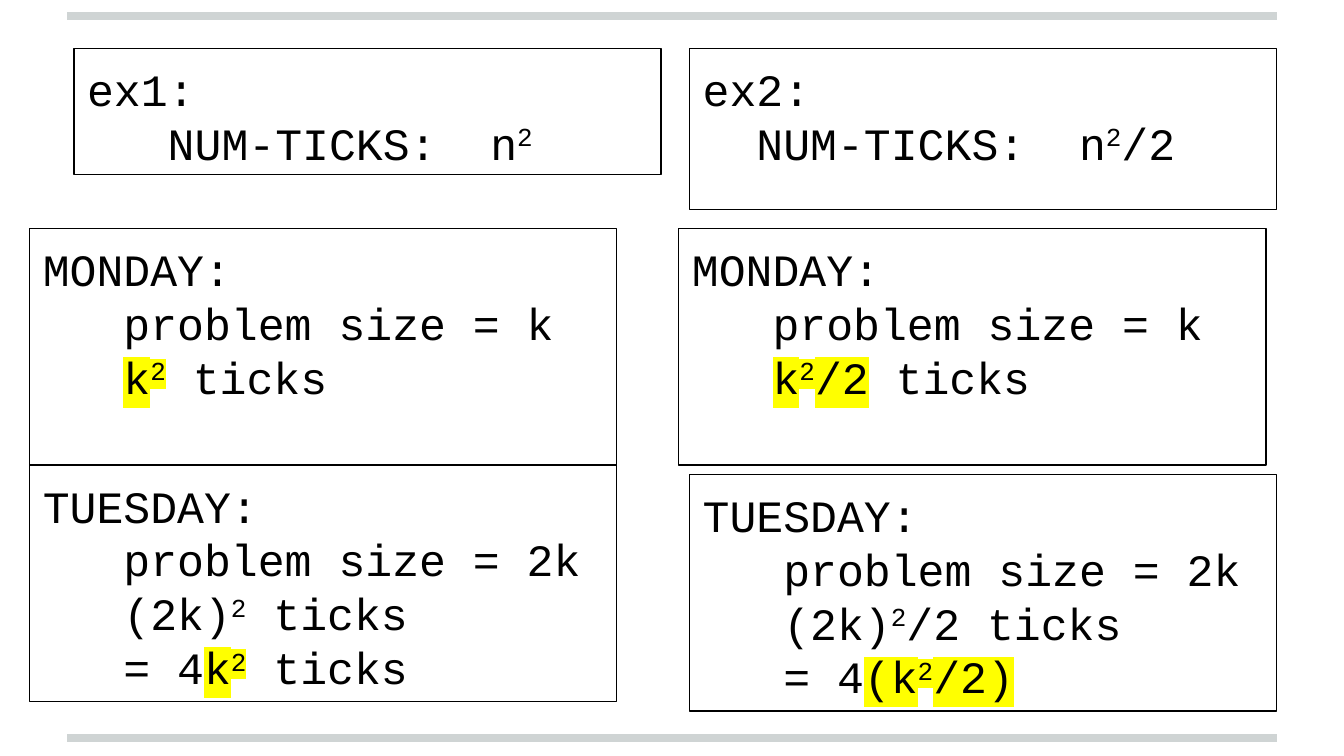
import pptx
import pptx.dml.color
import pptx.enum.shapes
import pptx.enum.text
import pptx.oxml
import pptx.oxml.ns
import pptx.util
from pptx.util import Inches


def color(value):
    return pptx.dml.color.RGBColor.from_string(value)


def add_element(parent, tag):
    element = pptx.oxml.parse_xml(f"<a:{tag} {pptx.oxml.ns.nsdecls('a')}/>")
    parent.append(element)
    return element


presentation = pptx.Presentation()
presentation.slide_width = Inches(10)
presentation.slide_height = Inches(10) * 9 // 16
slide = presentation.slides.add_slide(presentation.slide_layouts[6])

for y in (5.49, 0.12):
    rule = slide.shapes.add_connector(
        pptx.enum.shapes.MSO_CONNECTOR.STRAIGHT,
        Inches(0.5), Inches(y), Inches(9.5), Inches(y),
    )
    rule.line.color.rgb = color("CFD4D4")
    rule.line.width = pptx.util.Pt(4)
    add_element(rule._element.spPr, "effectLst")

BOX_WIDTH = 4.37
DAY_HEIGHT = 1.76
SUPERSCRIPT = "^"
HIGHLIGHT = "*"

boxes = [
    (0.55, 0.36, 0.94, 0.6, ["ex1:", "NUM-TICKS:  n|^2"]),
    (5.13, 0.36, 1.2, 0.4, ["ex2:", "NUM-TICKS:  n|^2|/2"]),
    (0.22, 1.7, DAY_HEIGHT, 0.6, ["MONDAY:", "problem size = k", "*k|*^2| ticks"]),
    (5.05, 1.7, DAY_HEIGHT, 0.6, ["MONDAY:", "problem size = k", "*k|*^2|*/2| ticks"]),
    (0.22, 3.46, DAY_HEIGHT, 0.6,
     ["TUESDAY:", "problem size = 2k", "(2k)|^2| ticks", "= 4|*k|*^2| ticks"]),
    (5.13, 3.53, DAY_HEIGHT, 0.6,
     ["TUESDAY:", "problem size = 2k", "(2k)|^2|/2 ticks", "= 4|*(k|*^2|*/2)"]),
]

for left, top, height, indent, lines in boxes:
    box = slide.shapes.add_shape(
        pptx.enum.shapes.MSO_SHAPE.RECTANGLE,
        Inches(left), Inches(top), Inches(BOX_WIDTH), Inches(height),
    )
    box.shadow.inherit = False
    box.fill.background()
    box.line.color.rgb = color("000000")
    box.line.width = pptx.util.Pt(0.75)
    text_frame = box.text_frame
    text_frame.word_wrap = True
    text_frame.vertical_anchor = pptx.enum.text.MSO_ANCHOR.TOP
    text_frame.margin_left = text_frame.margin_right = Inches(0.1)
    text_frame.margin_top = text_frame.margin_bottom = Inches(0.1)

    for index, line in enumerate(lines):
        paragraph = text_frame.add_paragraph() if index else text_frame.paragraphs[0]
        paragraph.alignment = pptx.enum.text.PP_ALIGN.LEFT
        if index:
            paragraph._p.get_or_add_pPr().set("marL", str(Inches(indent)))
        for part in line.split("|"):
            run = paragraph.add_run()
            run.text = part.lstrip(HIGHLIGHT + SUPERSCRIPT)
            run.font.size = pptx.util.Pt(24)
            run.font.color.rgb = color("000000")
            properties = run.font._element
            if part.startswith(HIGHLIGHT):
                highlight = add_element(properties, "highlight")
                add_element(highlight, "srgbClr").set("val", "FFFF00")
            if SUPERSCRIPT in part:
                properties.set("baseline", "30000")
            run.font.name = "Courier New"

presentation.save("out.pptx")
